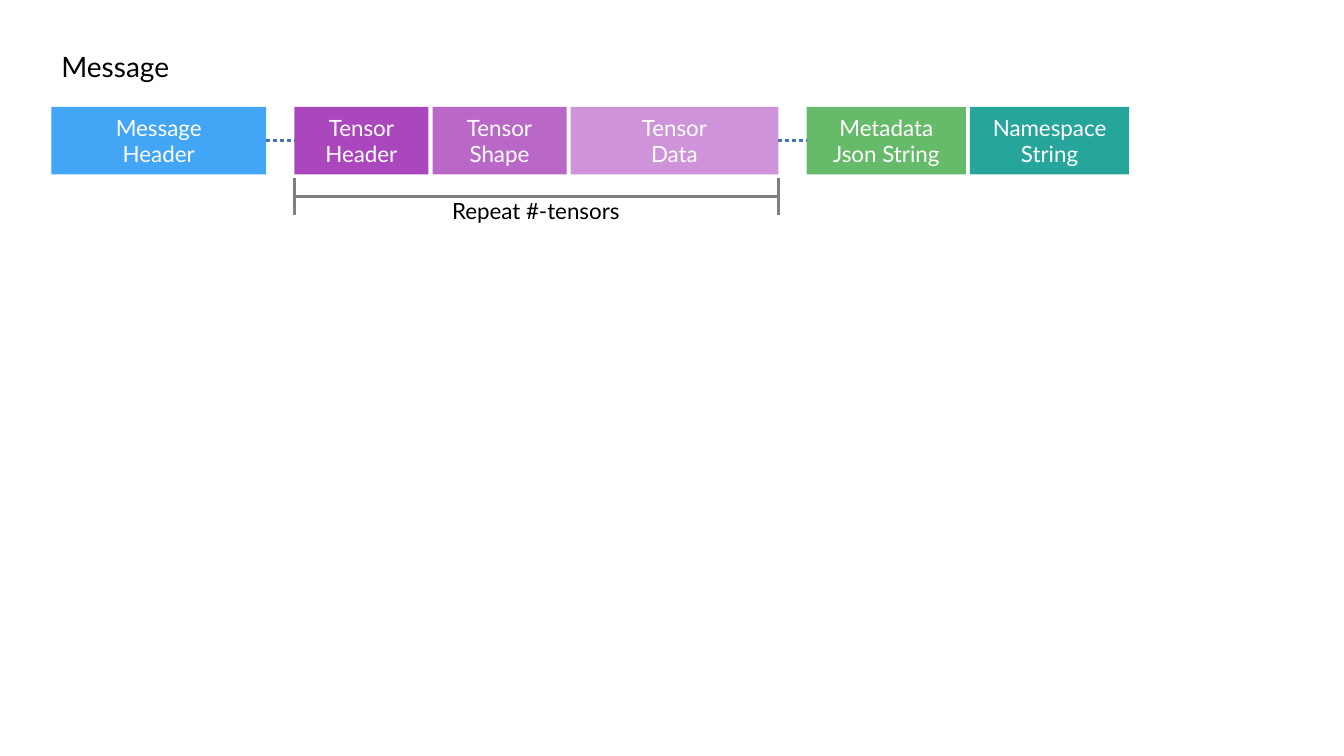
import pptx
import pptx.util
import pptx.dml.color
import pptx.enum.dml
import pptx.enum.shapes
import pptx.enum.text
import pptx.oxml.ns
from lxml import etree

Inches = pptx.util.Inches
RGBColor = pptx.dml.color.RGBColor
Align = pptx.enum.text.PP_ALIGN
Anchor = pptx.enum.text.MSO_ANCHOR

BLUE = RGBColor(0x42, 0xA5, 0xF5)
PURPLE = RGBColor(0xAB, 0x47, 0xBC)
MID_PURPLE = RGBColor(0xBA, 0x68, 0xC8)
LIGHT_PURPLE = RGBColor(0xCE, 0x93, 0xD8)
GREEN = RGBColor(0x66, 0xBB, 0x6A)
TEAL = RGBColor(0x26, 0xA6, 0x9A)
GRAY = RGBColor(0x80, 0x80, 0x80)
DOT_BLUE = RGBColor(0x44, 0x72, 0xC4)
WHITE = RGBColor(0xFF, 0xFF, 0xFF)
BLACK = RGBColor(0x00, 0x00, 0x00)

FONT = "Lato"
FIELD_TOP, FIELD_HEIGHT = 1.06, 0.67
FIELD_GAP, GROUP_GAP = 0.04, 0.28
MESSAGE_LEFT = 0.51

# Each group holds fields: text, width, fill
FIELD_GROUPS = [
    [("Message\nHeader", 2.13, BLUE)],
    [("Tensor\nHeader", 1.33, PURPLE),
     ("Tensor\nShape", 1.33, MID_PURPLE),
     ("Tensor\nData", 2.06, LIGHT_PURPLE)],
    [("Metadata\nJson String", 1.58, GREEN),
     ("Namespace\nString", 1.58, TEAL)],
]


def write_text(shape, text, size, color, align, anchor):
    frame = shape.text_frame
    frame.word_wrap = True
    frame.vertical_anchor = anchor
    frame.text = text
    for para in frame.paragraphs:
        para.alignment = align
        for span in para.runs:
            span.font.name = FONT
            span.font.size = pptx.util.Pt(size)
            span.font.color.rgb = color


def add_field(page, left, width, text, fill):
    box = page.shapes.add_shape(
        pptx.enum.shapes.MSO_SHAPE.RECTANGLE,
        Inches(left), Inches(FIELD_TOP), Inches(width), Inches(FIELD_HEIGHT))
    box.shadow.inherit = False
    box.fill.solid()
    box.fill.fore_color.rgb = fill
    box.line.fill.background()
    write_text(box, text, 16, WHITE, Align.CENTER, Anchor.MIDDLE)


def add_label(page, left, top, width, height, text, size, align):
    box = page.shapes.add_textbox(
        Inches(left), Inches(top), Inches(width), Inches(height))
    write_text(box, text, size, BLACK, align, Anchor.TOP)
    box.text_frame.auto_size = pptx.enum.text.MSO_AUTO_SIZE.SHAPE_TO_FIT_TEXT


def add_line(shapes, start, end, color, width, dash=None):
    line = shapes.add_connector(
        pptx.enum.shapes.MSO_CONNECTOR.STRAIGHT,
        *(Inches(length) for length in start + end))
    line.line.color.rgb = color
    line.line.width = pptx.util.Pt(width)
    if dash is not None:
        line.line.dash_style = dash
    etree.SubElement(line._element.spPr, pptx.oxml.ns.qn("a:effectLst"))


def add_fields(page):
    """Draw all fields and return the left and right edge of each group."""
    edges = []
    group_left = MESSAGE_LEFT
    for group in FIELD_GROUPS:
        left = group_left
        for text, width, fill in group:
            add_field(page, left, width, text, fill)
            right = left + width
            left = right + FIELD_GAP
        edges.append((group_left, right))
        group_left = right + GROUP_GAP
    return edges


def add_bracket(page, left, right):
    middle, half = 1.95, 0.18
    bracket = page.shapes.add_group_shape()
    add_line(bracket.shapes, (left, middle), (right, middle), GRAY, 2)
    for side in (left, right):
        add_line(bracket.shapes, (side, middle - half), (side, middle + half), GRAY, 2)


def main():
    deck = pptx.Presentation()
    deck.slide_width, deck.slide_height = Inches(13.33), Inches(7.5)
    page = deck.slides.add_slide(deck.slide_layouts[6])

    # Message fields
    edges = add_fields(page)

    # Repeated tensor part
    add_bracket(page, *edges[1])
    add_label(page, 4.03, 1.91, 2.57, 0.37, "Repeat #-tensors", 16, Align.CENTER)

    # Dotted links between groups
    link_y = FIELD_TOP + FIELD_HEIGHT / 2
    for before, after in zip(edges, edges[1:]):
        add_line(page.shapes, (before[1], link_y), (after[0], link_y), DOT_BLUE,
                 2.5, pptx.enum.dml.MSO_LINE.ROUND_DOT)

    # Title
    add_label(page, MESSAGE_LEFT, 0.44, 2.49, 0.44, "Message", 20, Align.LEFT)

    deck.save("out.pptx")


main()
